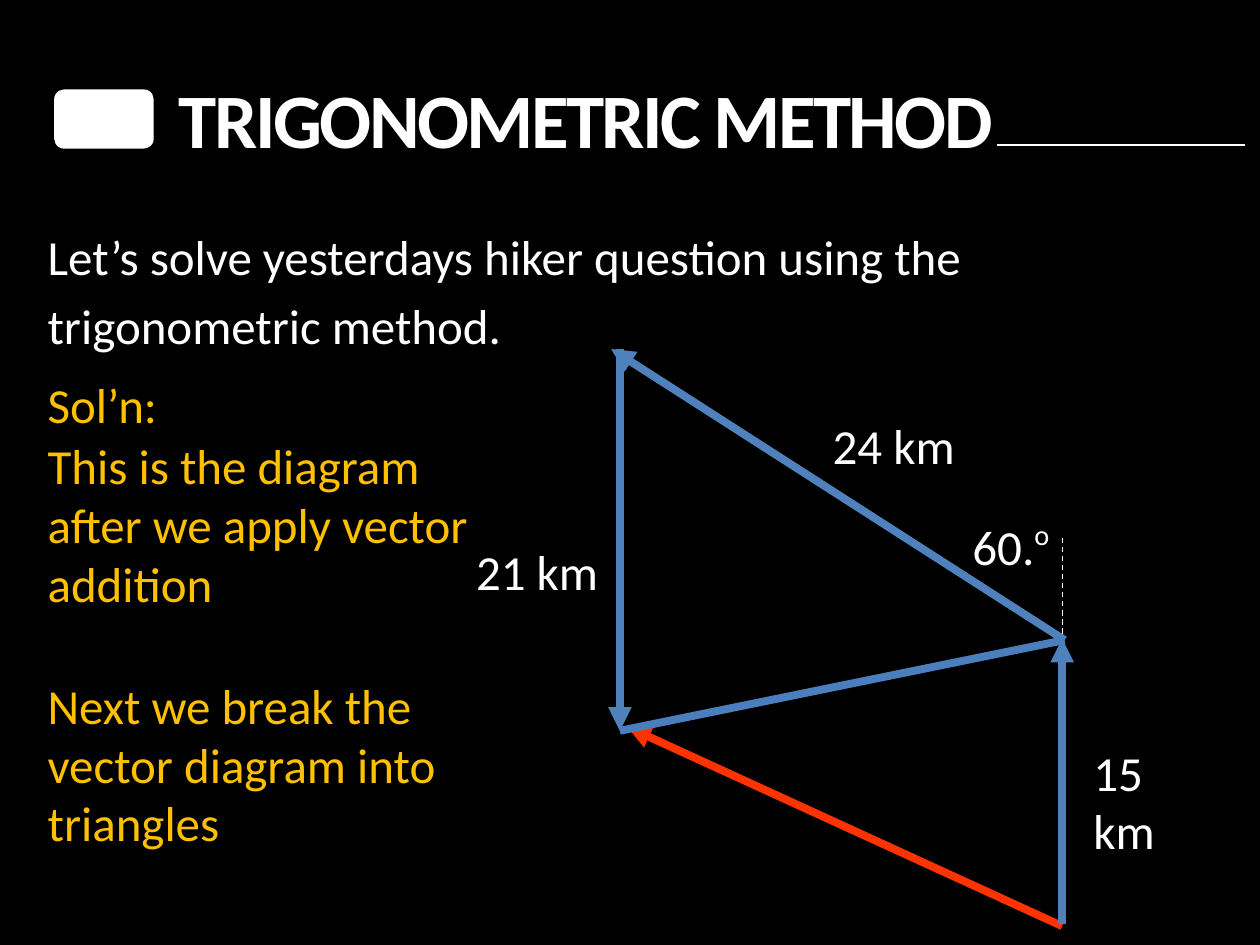
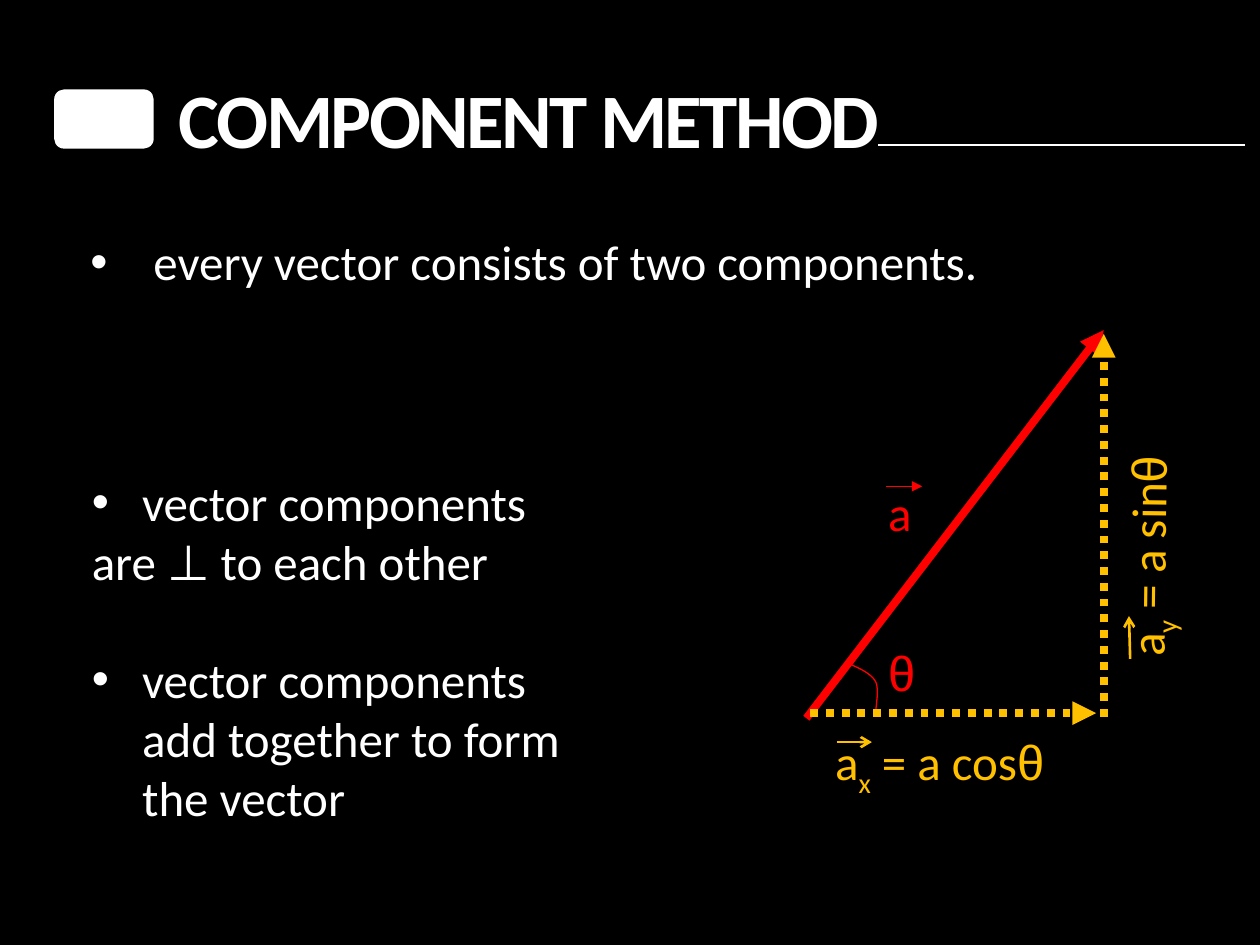
from dataclasses import dataclass

from lxml import etree
from pptx import Presentation
from pptx.dml.color import RGBColor
from pptx.enum.dml import MSO_LINE
from pptx.enum.shapes import MSO_CONNECTOR, MSO_SHAPE
from pptx.oxml.ns import qn
from pptx.util import Inches, Pt

STRAIGHT = MSO_CONNECTOR.STRAIGHT
ROUND_RECT = MSO_SHAPE.ROUNDED_RECTANGLE
DASH = MSO_LINE.DASH
DOT = MSO_LINE.ROUND_DOT


@dataclass(frozen=True)
class Theme:
    black: RGBColor = RGBColor(0x00, 0x00, 0x00)
    white: RGBColor = RGBColor(0xFF, 0xFF, 0xFF)
    gold: RGBColor = RGBColor(0xFF, 0xC0, 0x00)
    blue: RGBColor = RGBColor(0x4F, 0x81, 0xBD)
    steel: RGBColor = RGBColor(0x4B, 0x7E, 0xBC)
    orange: RGBColor = RGBColor(0xFF, 0x33, 0x00)
    red: RGBColor = RGBColor(0xFF, 0x00, 0x00)
    font: str = "Calibri"
    greek: str = "Arial"
    title: Pt = Pt(44)
    body: Pt = Pt(28)
    thin: Pt = Pt(0.75)
    medium: Pt = Pt(1.5)
    thick: Pt = Pt(4.5)


T = Theme()


def add_run(p, text, color, baseline=0, **changes):
    r = p.add_run()
    r.text = text
    fmt = {"name": T.font, "size": T.body, **changes}
    for name, value in fmt.items():
        setattr(r.font, name, value)
    r.font.color.rgb = color
    if baseline:
        r._r.get_or_add_rPr().set("baseline", str(baseline * 1000))
    return r


def add_box(slide, x, y, w, h=0.57):
    sp = slide.shapes.add_textbox(Inches(x), Inches(y), Inches(w), Inches(h))
    sp.text_frame.word_wrap = True
    return sp


def add_text(slide, box, paragraphs, color, gap=Pt(0)):
    tf = add_box(slide, *box).text_frame
    for i, text in enumerate(paragraphs):
        p = tf.add_paragraph() if i else tf.paragraphs[0]
        if i:
            p.space_before = gap
        add_run(p, text, color)
    return tf


def add_formula(slide, box, parts, color):
    sp = add_box(slide, *box)
    p = sp.text_frame.paragraphs[0]
    for text, baseline in parts:
        font = T.greek if text == "θ" else T.font
        add_run(p, text, color, baseline, name=font)
    return sp


def add_bullet(p, indent):
    pPr = p._p.get_or_add_pPr()
    pPr.set("marL", str(Inches(indent)))
    pPr.set("indent", str(-Inches(indent)))
    etree.SubElement(pPr, qn("a:buFont")).set("typeface", T.greek)
    etree.SubElement(pPr, qn("a:buChar")).set("char", "•")


def add_line(slide, start, end, color, width=T.thin, head=None, dash=None):
    ends = [Inches(v) for v in (*start, *end)]
    cxn = slide.shapes.add_connector(STRAIGHT, *ends)
    cxn.line.color.rgb = color
    cxn.line.width = width
    if dash:
        cxn.line.dash_style = dash
    spPr = cxn._element.spPr
    if head:
        ln = spPr.find(qn("a:ln"))
        etree.SubElement(ln, qn("a:tailEnd")).set("type", head)
    etree.SubElement(spPr, qn("a:effectLst"))


def offset_from(x, y):
    return lambda dx, dy: (x + dx, y + dy)


def curve(points, steps=8):
    a, b, c, d = points
    for i in range(1, steps + 1):
        t = i / steps
        u = 1 - t
        yield tuple(
            u**3 * a[k] + 3 * u * u * t * b[k] + 3 * u * t * t * c[k] + t**3 * d[k]
            for k in (0, 1)
        )


def add_title_band(slide, title, rule_start, x=0.43, y=0.52):
    at = offset_from(x, y)
    tf = add_box(slide, *at(0.32, 0), 9.21, 0.84).text_frame
    tf.margin_left = Inches(0.67)
    r = add_run(tf.paragraphs[0], title, T.white, size=T.title, bold=True)
    r._r.get_or_add_rPr().set("spc", "-150")
    left, top = at(0, 0.19)
    sp = slide.shapes.add_shape(
        ROUND_RECT, Inches(left), Inches(top), Inches(0.79), Inches(0.47)
    )
    sp.shadow.inherit = False
    sp.fill.solid()
    sp.fill.fore_color.rgb = T.white
    sp.line.fill.background()
    add_line(slide, (rule_start, y + 0.63), at(9.45, 0.63), T.white)


def add_slide(prs, title, rule_start):
    slide = prs.slides.add_slide(prs.slide_layouts[6])
    fill = slide.background.fill
    fill.solid()
    fill.fore_color.rgb = T.black
    add_title_band(slide, title, rule_start)
    return slide


def add_hiker_diagram(slide, x, y):
    at = offset_from(x, y)
    finish, turn = at(0, 3.03), at(3.53, 2.31)
    start = at(3.51, 4.56)
    add_line(slide, at(3.51, 4.58), at(0.06, 3), T.orange, T.thick, "triangle")
    add_line(slide, start, at(3.51, 2.3), T.blue, T.thick, "triangle")
    add_line(slide, at(0, 0), finish, T.blue, T.thick, "triangle")
    add_line(slide, turn, at(-0.07, 0), T.blue, T.thick, "triangle")
    add_line(slide, at(3.51, 2.33), at(3.51, 1.5), T.white, dash=DASH)
    add_line(slide, turn, finish, T.steel, T.thick)
    for label, dx, dy, w in (
        ("15 km", 3.66, 3.07, 1.05),
        ("21 km", -1.24, 1.48, 1.25),
        ("24 km", 1.59, 0.48, 1.25),
    ):
        add_text(slide, (*at(dx, dy), w), [label], T.white)
    add_formula(slide, (*at(2.7, 1.28), 0.9), [("60.", 0), ("o", 40)], T.white)


def add_component_diagram(slide, x, y):
    at = offset_from(x, y)
    add_line(slide, at(0, 3.08), at(2.36, 0), T.red, T.thick, "triangle")
    add_formula(slide, (*at(0.55, 2.43), 0.42), [("θ", 0)], T.red)
    add_formula(slide, (*at(0.55, 1.16), 0.67), [("a", 0)], T.red)
    add_line(slide, at(0.63, 1.24), at(0.92, 1.24), T.red, head="triangle")

    upper = [at(0.32, 2.64), at(0.41, 2.68), at(0.51, 2.72), at(0.55, 2.79)]
    lower = [upper[-1], at(0.58, 2.85), at(0.55, 2.99), at(0.55, 3.04)]
    points = [
        (Inches(px), Inches(py)) for px, py in (*curve(upper), *curve(lower))
    ]
    arc = slide.shapes.build_freeform(*[Inches(v) for v in upper[0]])
    arc.add_line_segments(points, close=False)
    sp = arc.convert_to_shape()
    sp.shadow.inherit = False
    sp.fill.background()
    sp.line.color.rgb = T.red
    sp.line.width = T.thin

    for start, end, mark_start, mark_end, box, axis, ratio, angle in (
        (at(0.03, 3.04), at(2.3, 3.04), at(0.24, 3.27), at(0.52, 3.27),
         (*at(0.13, 3.14), 2.19), "x", "cos", 0),
        (at(2.36, 3.07), at(2.36, 0.03), at(2.57, 2.61), at(2.56, 2.27),
         (*at(1.73, 1.43), 1.94), "y", "sin", 270.7),
    ):
        add_line(slide, start, end, T.gold, T.thick, "triangle", DOT)
        parts = [("a", 0), (axis, -25), (f" = a {ratio}", 0), ("θ", 0)]
        add_formula(slide, box, parts, T.gold).rotation = angle
        add_line(slide, mark_start, mark_end, T.gold, T.medium, "arrow")


def add_hiker_text(slide, x, y):
    at = offset_from(x, y)
    question = [
        "Let’s solve yesterdays hiker question using the",
        "trigonometric method.",
    ]
    add_text(slide, (*at(0, 0), 8, 1.14), question, T.white, Pt(5.6))
    for text, dy, w, h in (
        ("Sol’n:", 1.17, 1.3, 0.57),
        ("This is the diagram after we apply vector addition", 1.66, 3.66, 1.51),
        ("Next we break the vector diagram into triangles", 3.56, 3.45, 1.51),
    ):
        add_text(slide, (*at(0, dy), w, h), [text], T.gold)


def add_component_text(slide, x, y):
    at = offset_from(x, y)
    intro = ["every vector consists of two components."]
    tf = add_text(slide, (*at(0, 0), 8.2), intro, T.white)
    add_bullet(tf.paragraphs[0], 0.5)
    facts = [
        "vector components",
        "are ⊥ to each other",
        "vector components add together to form the vector",
    ]
    tf = add_text(slide, (*at(0.01, 1.91), 4.05, 2.93), facts, T.white)
    first, _, last = tf.paragraphs
    last.space_before = Pt(34)
    for p in (first, last):
        add_bullet(p, 0.4)


def main():
    prs = Presentation()
    prs.slide_width, prs.slide_height = Inches(10), Inches(7.5)

    slide = add_slide(prs, "TRIGONOMETRIC METHOD", 7.91)
    add_hiker_text(slide, 0.28, 1.75)
    add_hiker_diagram(slide, 4.92, 2.77)

    slide = add_slide(prs, "COMPONENT METHOD", 6.97)
    add_component_text(slide, 0.62, 1.79)
    add_component_diagram(slide, 6.4, 2.62)

    prs.save("out.pptx")


if __name__ == "__main__":
    main()
